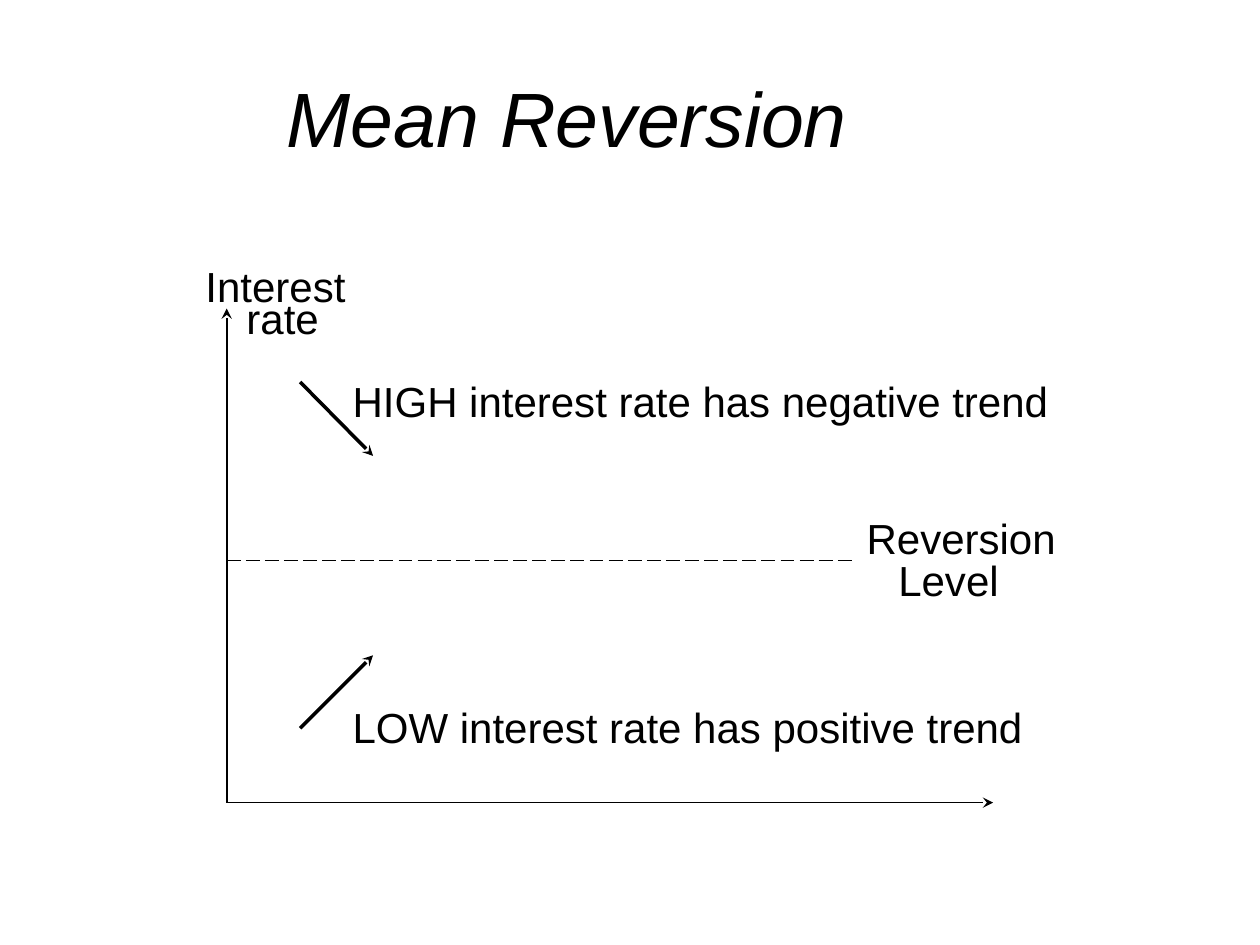
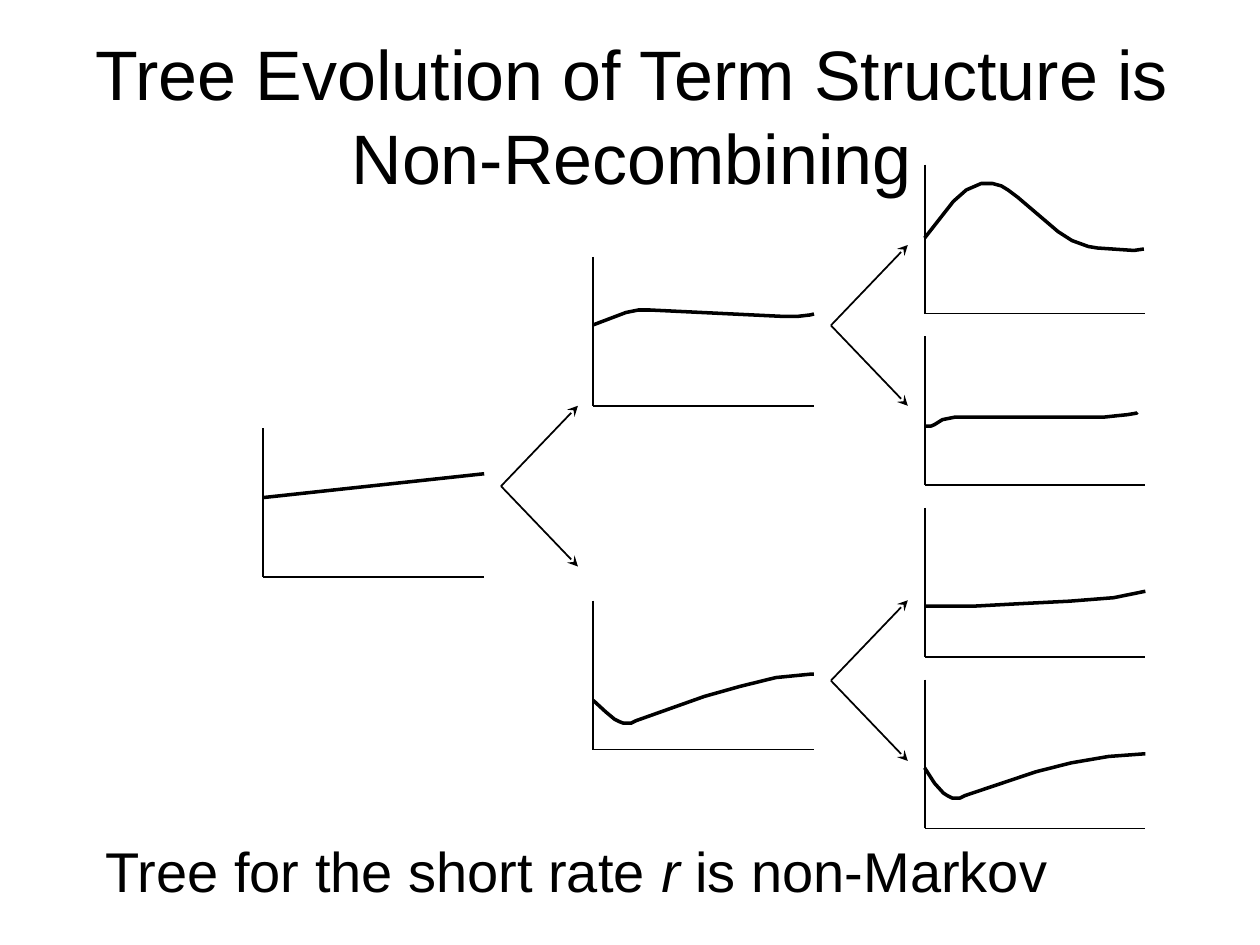
from dataclasses import dataclass

from lxml import etree
from pptx import Presentation
from pptx.dml.color import RGBColor
from pptx.enum.dml import MSO_LINE
from pptx.enum.shapes import MSO_CONNECTOR
from pptx.enum.text import MSO_ANCHOR, PP_ALIGN
from pptx.oxml.ns import qn
from pptx.util import Cm, Pt

STRAIGHT = MSO_CONNECTOR.STRAIGHT
LONG_DASH = MSO_LINE.LONG_DASH
MIDDLE, TOP = MSO_ANCHOR.MIDDLE, MSO_ANCHOR.TOP
CENTER, LEFT = PP_ALIGN.CENTER, PP_ALIGN.LEFT


@dataclass(frozen=True)
class Theme:
    font: str = "Arial"
    ink: RGBColor = RGBColor(0, 0, 0)
    title: Pt = Pt(44)
    long_title: Pt = Pt(40)
    caption: Pt = Pt(32)
    label: Pt = Pt(24)
    thin: Pt = Pt(1)
    thick: Pt = Pt(2)


THEME = Theme()
TITLE_SIZE = (22.86, 3.18)


def add_text(slide, parts, box, size, align=LEFT, anchor=TOP, wrap=False):
    """Add one line of text from (wording, italic) parts; box is in cm."""
    holder = slide.shapes.add_textbox(*(Cm(length) for length in box))
    frame = holder.text_frame
    frame.word_wrap = wrap
    frame.vertical_anchor = anchor
    paragraph = frame.paragraphs[0]
    paragraph.alignment = align
    for wording, italic in parts:
        run = paragraph.add_run()
        run.text = wording
        run.font.name = THEME.font
        run.font.size = size
        run.font.italic = italic
        run.font.color.rgb = THEME.ink


def add_line(slide, start, end, width=THEME.thin, arrow=False, dash=None):
    """Draw a straight line between two points in cm."""
    connector = slide.shapes.add_connector(
        STRAIGHT, *(Cm(length) for length in (*start, *end)))
    connector.line.color.rgb = THEME.ink
    connector.line.width = width
    if dash:
        connector.line.dash_style = dash
    properties = connector._element.spPr
    if arrow:
        etree.SubElement(properties.find(qn("a:ln")), qn("a:tailEnd"), type="stealth")
    etree.SubElement(properties, qn("a:effectLst"))


prs = Presentation()
prs.slide_width, prs.slide_height = Cm(25.4), Cm(19.05)
blank = prs.slide_layouts[6]

# Mean reversion
reversion = prs.slides.add_slide(blank)
add_text(reversion, [("Mean Reversion", True)], (0, 0.76, *TITLE_SIZE),
         THEME.title, CENTER, MIDDLE, True)

origin = (4.57, 16.18)
reversion_level = 11.3
add_line(reversion, origin, (20.02, origin[1]), arrow=True)
add_line(reversion, origin, (origin[0], 6.22), arrow=True)
add_line(reversion, (origin[0], reversion_level), (17.27, reversion_level),
         dash=LONG_DASH)
for trend_start, trend_end in ((14.68, 13.21), (7.7, 9.19)):
    add_line(reversion, (6.05, trend_start), (7.52, trend_end), THEME.thick, arrow=True)

for wording, left, top, width, align in (
    ("Interest", 3.89, 5.13, 3.33, CENTER),
    ("rate", 4.72, 5.77, 1.98, LEFT),
    ("HIGH interest rate has negative trend", 6.86, 7.44, 14.53, LEFT),
    ("LOW interest rate has positive trend", 6.86, 14.02, 14.02, LEFT),
    ("Reversion", 17.22, 10.21, 4.32, LEFT),
    ("Level", 17.86, 11.05, 2.54, LEFT),
):
    add_text(reversion, [(wording, False)], (left, top, width, 1.27),
             THEME.label, align)

# Tree of term structures
tree = prs.slides.add_slide(blank)
add_text(tree, [("Tree Evolution of Term Structure is Non-Recombining", False)],
         (1.3, 0.71, *TITLE_SIZE), THEME.long_title, CENTER, MIDDLE, True)

AXIS_WIDTH, AXIS_HEIGHT = 4.45, 3.0
today_x, next_x, last_x = 5.31, 11.96, 18.64
today_base = 11.63
next_bases = [8.18 + 6.93 * i for i in range(2)]
last_bases = [6.32 + 3.46 * i for i in range(4)]

# Each curve lists (distance along the axis, height above it) in cm.
flat_rise = [(0, 1.6), (AXIS_WIDTH, 2.08)]
early_bump = [(0, 1.63), (0.66, 1.88), (0.91, 1.93), (1.14, 1.93), (3.84, 1.8),
              (4.11, 1.8), (4.37, 1.83), (4.45, 1.85)]
dip_and_rise = [(0, 0.99), (0.25, 0.76), (0.43, 0.61), (0.53, 0.56), (0.61, 0.53),
                (0.76, 0.53), (0.86, 0.58), (2.24, 1.07), (2.95, 1.27),
                (3.68, 1.45), (4.39, 1.52), (4.45, 1.52)]
tall_hump = [(0, 1.52), (0.58, 2.26), (0.84, 2.49), (1.14, 2.62), (1.37, 2.62),
             (1.55, 2.57), (1.68, 2.49), (1.88, 2.34), (2.69, 1.65), (2.97, 1.47),
             (3.3, 1.35), (3.48, 1.32), (4.22, 1.27), (4.42, 1.3)]
plateau = [(0, 1.19), (0.13, 1.19), (0.2, 1.22), (0.36, 1.32), (0.61, 1.37),
           (0.79, 1.37), (3.61, 1.37), (3.89, 1.4), (4.09, 1.42), (4.27, 1.45),
           (4.29, 1.47)]
slow_rise = [(0, 1.02), (0.99, 1.02), (1.93, 1.07), (2.92, 1.12), (3.81, 1.19),
             (4.45, 1.32)]
deep_dip = [(0, 1.22), (0.2, 0.91), (0.38, 0.71), (0.46, 0.66), (0.56, 0.61),
            (0.71, 0.61), (0.81, 0.66), (2.24, 1.14), (2.95, 1.32), (3.71, 1.45),
            (4.39, 1.5), (4.45, 1.5)]

nodes = [(today_x, today_base, flat_rise)]
nodes += [(next_x, base, curve)
          for base, curve in zip(next_bases, (early_bump, dip_and_rise))]
nodes += [(last_x, base, curve) for base, curve in
          zip(last_bases, (tall_hump, plateau, slow_rise, deep_dip))]

for x, base, curve in nodes:
    add_line(tree, (x, base - AXIS_HEIGHT), (x, base))
    add_line(tree, (x, base), (x + AXIS_WIDTH, base))
    points = [(x + along, base - height) for along, height in curve]
    if len(points) == 2:
        add_line(tree, *points, THEME.thick)
        continue
    outline_points = [(Cm(px), Cm(py)) for px, py in points]
    builder = tree.shapes.build_freeform(*outline_points[0])
    builder.add_line_segments(outline_points[1:], close=False)
    term_structure = builder.convert_to_shape()
    term_structure.shadow.inherit = False
    term_structure.fill.background()
    term_structure.line.color.rgb = THEME.ink
    term_structure.line.width = THEME.thick

FORK_GAP, FORK_WIDTH, FORK_RISE = 4.79, 1.55, 1.62
for node_x, fork_y in ((today_x, 9.8), (next_x, 6.56), (next_x, 13.72)):
    fork_x = node_x + FORK_GAP
    for rise in (-FORK_RISE, FORK_RISE):
        add_line(tree, (fork_x, fork_y), (fork_x + FORK_WIDTH, fork_y + rise), arrow=True)

add_text(tree, [("Tree for the short rate ", False), ("r", True),
                (" is non-Markov", False)],
         (1.88, 16.74, 19.53, 1.63), THEME.caption)

prs.save("out.pptx")
